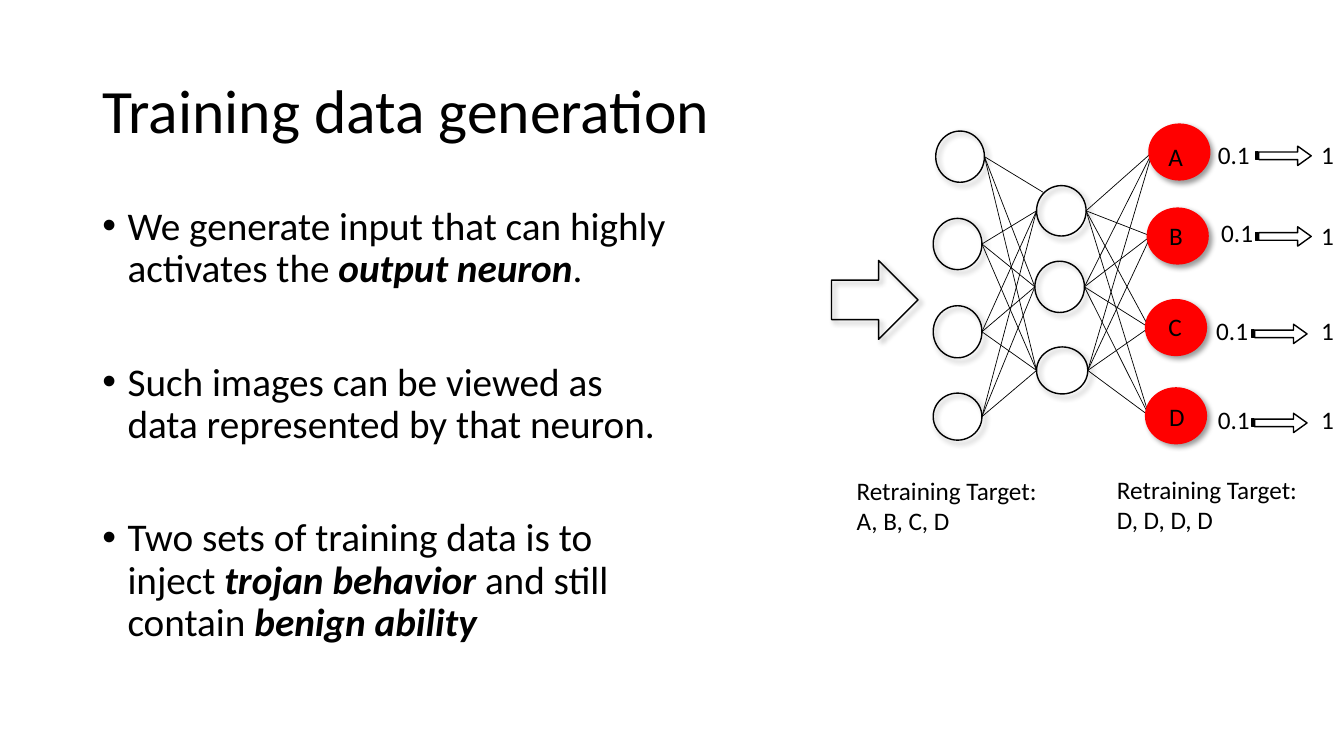
"""Build the training data generation slide."""
from dataclasses import dataclass
from itertools import product

import lxml.etree
import pptx
import pptx.chart.data
import pptx.dml.color
import pptx.enum.shapes
import pptx.enum.text
import pptx.oxml
import pptx.oxml.ns
import pptx.util

SHAPE = pptx.enum.shapes.MSO_SHAPE
ANCHOR = pptx.enum.text.MSO_ANCHOR
COLUMNS, ROWS = 160, 90
SLIDE_W, SLIDE_H = pptx.util.Inches(13.333), pptx.util.Inches(7.5)


@dataclass(frozen=True)
class Theme:
    """Colours, font and sizes of the slide."""
    font: str = "Calibri"
    ink: str = "000000"
    neuron: str = "FF0000"
    title: float = 44
    body: float = 28
    label: float = 18
    outline: float = 1
    edge: float = 0.5
    ring: float = 6
    point_gap: float = 50.75


THEME = Theme()
POINTS = [
    [("We generate input that can highly activates the ", False),
     ("output neuron", True), (".", False)],
    [("Such images can be viewed as data represented by that neuron.", False)],
    [("Two sets of training data is to inject ", False),
     ("trojan behavior ", True), ("and still contain ", False),
     ("benign ability", True)],
]
INPUTS = [(x, 15.6 + 10.4 * i, 5.8, h) for i, (x, h) in enumerate(
    [(111.4, 6.1), (111.1, 6.1), (111.1, 6.2), (111.1, 5.6)])]
HIDDEN = [(123.4, 22.1, 5.9, 6), (123.2, 31.1, 5.9, 6.1),
          (123.4, 41.3, 6.1, 5.6)]
OUTPUTS = [(x, y, 6.4, 5.8) for x, y in
           [(137.2, 15.2), (137, 25.2), (136.8, 36.1), (136.8, 46.6)]]
LETTERS = [("A", 137.9, 16.2), ("B", 138, 25.6),
           ("C", 137.9, 36.5), ("D", 138, 47.2)]
SCORES = [(143.8, 16), (144.2, 25.3), (143.6, 37), (143.8, 47.5)]
RISES = [(149.5, 17.4), (149.5, 27), (149, 38.6), (149, 49.2)]
TARGETS = [16, 25.6, 37, 47.5]
CAPTIONS = [("A, B, C, D", 100.8, 56), ("D, D, D, D", 131.8, 55.9)]


def cells(x, y):
    """Turn grid columns and rows into slide lengths."""
    return round(x * SLIDE_W / COLUMNS), round(y * SLIDE_H / ROWS)


def rgb(colour):
    """Turn a hex string into a colour."""
    return pptx.dml.color.RGBColor.from_string(colour)


def style_runs(p, size):
    """Give all runs of a paragraph the theme font."""
    for r in p.runs:
        r.font.name = THEME.font
        r.font.size = pptx.util.Pt(size)
        r.font.color.rgb = rgb(THEME.ink)


def add_text(s, box, text, size, anchor=ANCHOR.TOP):
    """Add a wrapped text box and return its text frame."""
    tf = s.shapes.add_textbox(*cells(*box[:2]), *cells(*box[2:])).text_frame
    tf.word_wrap = True
    tf.vertical_anchor = anchor
    tf.text = text
    for p in tf.paragraphs:
        style_runs(p, size)
    return tf


def add_bullet(p):
    """Give a paragraph a hanging round bullet."""
    pPr = p._p.get_or_add_pPr()
    pPr.set("marL", str(pptx.util.Inches(0.25)))
    pPr.set("indent", str(pptx.util.Inches(-0.25)))
    ns = pptx.oxml.ns.qn
    lxml.etree.SubElement(pPr, ns("a:buFont")).set("typeface", "Arial")
    lxml.etree.SubElement(pPr, ns("a:buChar")).set("char", "•")


def add_points(s, box):
    """Add the bulleted points with their emphasised words."""
    tf = add_text(s, box, "", THEME.body)
    for i, point in enumerate(POINTS):
        p = tf.add_paragraph() if i else tf.paragraphs[0]
        add_bullet(p)
        p.line_spacing = 0.9
        p.space_before = pptx.util.Pt(THEME.point_gap if i else 0)
        for text, strong in point:
            r = p.add_run()
            r.text = text
            r.font.bold = r.font.italic = strong
        style_runs(p, THEME.body)


def add_shadow(sp):
    """Cast a soft shadow to the lower right."""
    effects = sp._element.spPr.find(pptx.oxml.ns.qn("a:effectLst"))
    effects.append(pptx.oxml.parse_xml(
        f'<a:outerShdw {pptx.oxml.ns.nsdecls("a")} blurRad="50800" '
        'dist="38100" dir="2700000" algn="tl" rotWithShape="0">'
        f'<a:srgbClr val="{THEME.ink}"><a:alpha val="40000"/></a:srgbClr>'
        '</a:outerShdw>'))


def add_figure(s, kind, box, colour=None, shadow=True):
    """Add an outlined shape, or a filled one when given a colour."""
    sp = s.shapes.add_shape(kind, *cells(*box[:2]), *cells(*box[2:]))
    sp.shadow.inherit = False
    if colour:
        sp.fill.solid()
        sp.fill.fore_color.rgb = rgb(colour)
    else:
        sp.fill.background()
    sp.line.color.rgb = rgb(colour or THEME.ink)
    sp.line.width = pptx.util.Pt(THEME.ring if colour else THEME.outline)
    if shadow:
        add_shadow(sp)
    return sp


def add_edge(s, start, end):
    """Join two grid points with a thin line."""
    line = s.shapes.add_connector(pptx.enum.shapes.MSO_CONNECTOR.STRAIGHT,
                                  *cells(*start), *cells(*end))
    line.line.color.rgb = rgb(THEME.ink)
    line.line.width = pptx.util.Pt(THEME.edge)
    lxml.etree.SubElement(line._element.spPr,
                          pptx.oxml.ns.qn("a:effectLst"))


def join_layers(s, sources, sinks):
    """Join each neuron of one layer to each of the next."""
    for (x, y, w, h), (to_x, to_y, _, to_h) in product(sources, sinks):
        end = to_x, to_y + to_h / 2
        if (x, y) == INPUTS[0][:2] and to_y == HIDDEN[0][1]:
            end = to_x + 0.8, to_y + 0.8
        add_edge(s, (x + w, y + h / 2), end)


def add_network(s):
    """Draw the three layers and the arrow into them."""
    add_figure(s, SHAPE.RIGHT_ARROW, (99, 31, 10.3, 9.4))
    for box in INPUTS + HIDDEN:
        add_figure(s, SHAPE.OVAL, box)
    join_layers(s, INPUTS, HIDDEN)
    join_layers(s, HIDDEN, OUTPUTS)
    for box, (letter, x, y) in zip(OUTPUTS, LETTERS):
        add_figure(s, SHAPE.OVAL, box, THEME.neuron)
        add_text(s, (x, y, 4, 4.8), letter, THEME.label)


def add_activations(s):
    """Show each output value rising to its target."""
    for score, rise, target in zip(SCORES, RISES, TARGETS):
        add_text(s, (*score, 6.5, 4.8), "0.1", THEME.label)
        sp = add_figure(s, SHAPE.STRIPED_RIGHT_ARROW, (*rise, 6.6, 2.3),
                        shadow=False)
        sp.adjustments[0], sp.adjustments[1] = 0.39, 0.7
        add_text(s, (156.1, target, 3.84, 4.8), "1", THEME.label)


def main():
    """Build and save the slide."""
    prs = pptx.Presentation()
    prs.slide_width, prs.slide_height = SLIDE_W, SLIDE_H
    s = prs.slides.add_slide(prs.slide_layouts[6])
    tf = add_text(s, (11, 4.8, 138, 17.4), "Training data generation",
                  THEME.title, ANCHOR.MIDDLE)
    tf.paragraphs[0].line_spacing = 0.9
    add_points(s, (11, 24, 70.2, 60.8))
    add_network(s)
    add_activations(s)
    for labels, x, y in CAPTIONS:
        add_text(s, (x, y, 25.2, 8.5), f"Retraining Target:\n{labels}",
                 THEME.label)
    prs.save("out.pptx")


if __name__ == "__main__":
    main()
